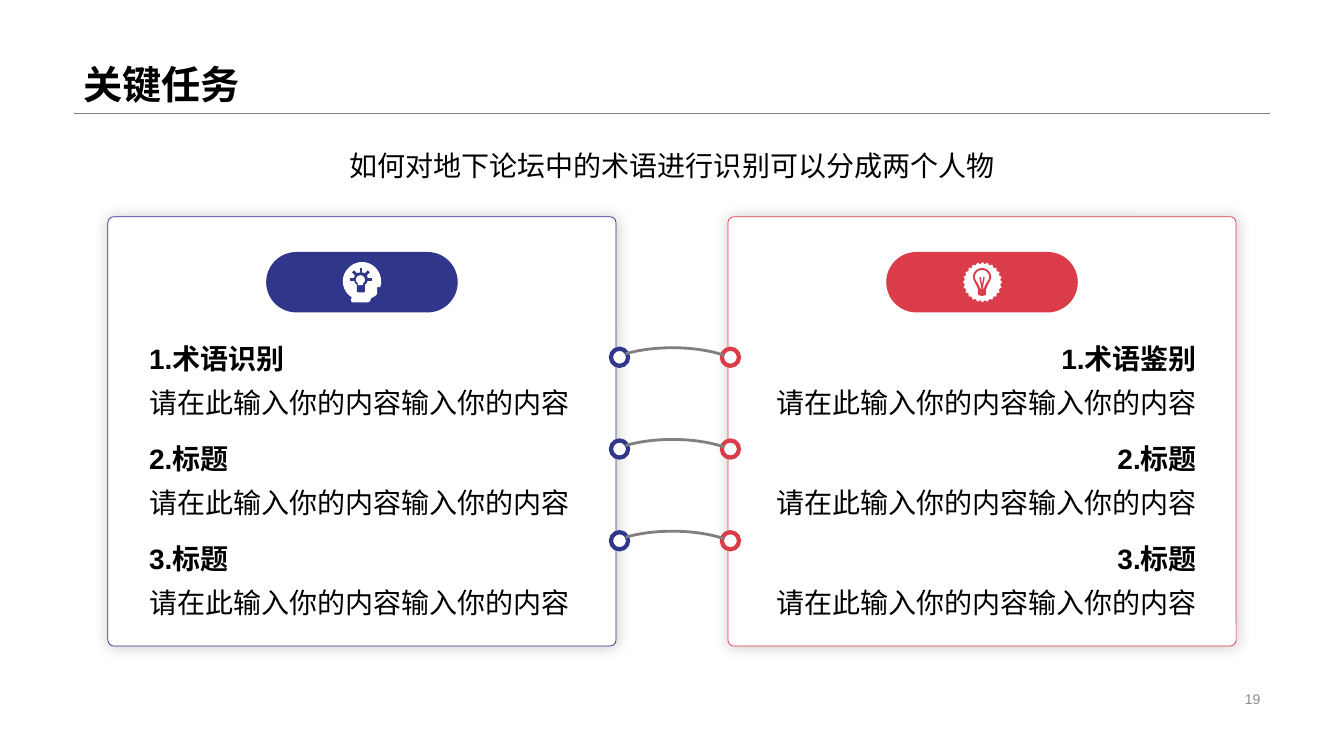
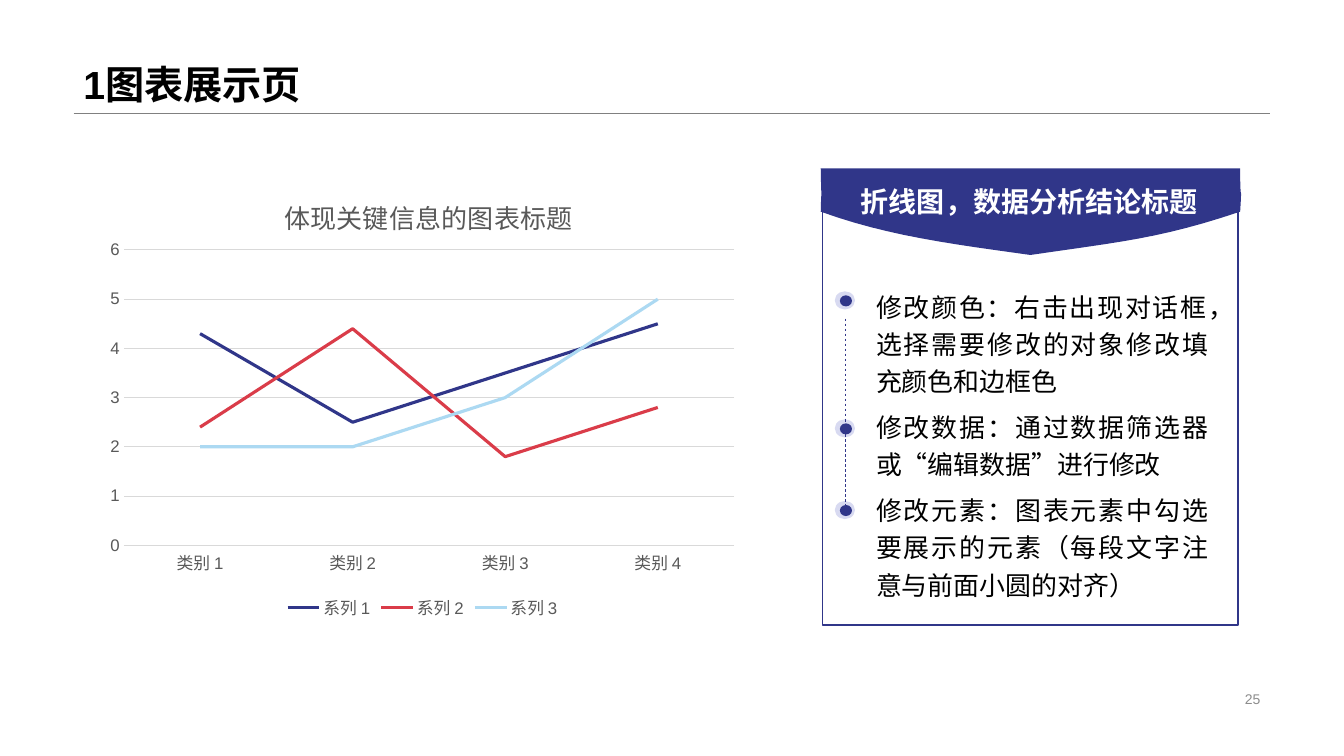
from math import cos, radians, sin

from lxml import etree
from pptx import Presentation
from pptx.chart.data import CategoryChartData
from pptx.dml.color import RGBColor
from pptx.enum.chart import XL_CHART_TYPE, XL_LEGEND_POSITION, XL_TICK_MARK
from pptx.enum.dml import MSO_LINE
from pptx.enum.shapes import MSO_CONNECTOR, MSO_SHAPE
from pptx.enum.text import MSO_ANCHOR, PP_ALIGN
from pptx.oxml.ns import qn
from pptx.util import Inches, Pt

NAVY = RGBColor(0x30, 0x36, 0x89)
RED = RGBColor(0xDA, 0x3C, 0x49)
SKY = RGBColor(0xAC, 0xD9, 0xF2)
LILAC = RGBColor(0x9F, 0xA3, 0xDD)
WHITE = RGBColor(0xFF, 0xFF, 0xFF)
BLACK = RGBColor(0, 0, 0)
GRAY = RGBColor(0x80, 0x80, 0x80)
PAGE_GRAY = RGBColor(0x8C, 0x8C, 0x8C)
CHART_GRAY = RGBColor(0x59, 0x59, 0x59)
GRID_GRAY = RGBColor(0xD9, 0xD9, 0xD9)

LEFT, RIGHT, CENTER = PP_ALIGN.LEFT, PP_ALIGN.RIGHT, PP_ALIGN.CENTER
JUSTIFY = PP_ALIGN.JUSTIFY
TOP, MIDDLE, BOTTOM = MSO_ANCHOR.TOP, MSO_ANCHOR.MIDDLE, MSO_ANCHOR.BOTTOM
ROUND, OVAL, RECT = MSO_SHAPE.ROUNDED_RECTANGLE, MSO_SHAPE.OVAL, MSO_SHAPE.RECTANGLE
ARC, STAR = MSO_SHAPE.ARC, MSO_SHAPE.STAR_24_POINT
STRAIGHT = MSO_CONNECTOR.STRAIGHT
DASH = MSO_LINE.DASH
NO_TICK = XL_TICK_MARK.NONE
FONT = "Arial"


def curve(start, *segments):
    """Return the points of an outline made of lines and cubic curves."""
    points = [start]
    for seg in segments:
        if len(seg) == 2:
            points.append(seg)
            continue
        nodes = [points[-1], seg[:2], seg[2:4], seg[4:]]
        for i in range(1, 13):
            t = i / 12
            weights = ((1 - t) ** 3, 3 * t * (1 - t) ** 2, 3 * t * t * (1 - t), t ** 3)
            points.append(tuple(sum(w * n[k] for w, n in zip(weights, nodes))
                                for k in (0, 1)))
    return points


class Deck:
    """Holds the shared style and the current slide."""

    def __init__(self):
        self.prs = Presentation()
        self.prs.slide_width = Inches(13.33)
        self.prs.slide_height = Inches(7.5)

    def slide(self, title, number):
        self.s = self.prs.slides.add_slide(self.prs.slide_layouts[6])
        self.line(0.73, 1.12, 12.6, 1.12, GRAY, 0.25)
        self.text(0.73, 0, 11.87, 1.12, [title], 28, bold=True, anchor=BOTTOM, spacing=0.9)
        self.text(9.42, 6.82, 3.18, 0.23, [str(number)], 10, PAGE_GRAY, RIGHT, spacing=1)

    def text(self, x, y, w, h, lines, size, color=BLACK, align=LEFT, bold=False,
             anchor=MIDDLE, spacing=1.3, after=0, wrap=True, bold_first=False):
        tf = self.s.shapes.add_textbox(Inches(x), Inches(y), Inches(w), Inches(h)).text_frame
        tf.word_wrap = wrap
        tf.vertical_anchor = anchor
        for i, line in enumerate(lines):
            p = tf.paragraphs[0] if i == 0 else tf.add_paragraph()
            p.text = line
            p.alignment = align
            p.line_spacing = spacing
            p.space_after = Pt(after)
            p.font.name = FONT
            p.font.size = Pt(size)
            p.font.bold = bold or (bold_first and i == 0)
            p.font.color.rgb = color

    def paint(self, sp, fill, line, width):
        sp.shadow.inherit = False
        if fill is None:
            sp.fill.background()
        else:
            sp.fill.solid()
            sp.fill.fore_color.rgb = fill
        if line is None:
            sp.line.fill.background()
        else:
            sp.line.color.rgb = line
            sp.line.width = Pt(width)
        return sp

    def shape(self, kind, x, y, w, h, fill=None, line=None, width=1, adj=()):
        sp = self.s.shapes.add_shape(kind, Inches(x), Inches(y), Inches(w), Inches(h))
        for i, value in enumerate(adj):
            sp.adjustments[i] = value
        return self.paint(sp, fill, line, width)

    def outline(self, points, fill):
        pts = [(Inches(x), Inches(y)) for x, y in points]
        builder = self.s.shapes.build_freeform(*pts[0])
        builder.add_line_segments(pts[1:], close=True)
        self.paint(builder.convert_to_shape(), fill, None, 0)

    def line(self, x1, y1, x2, y2, color, width, dash=None):
        cn = self.s.shapes.add_connector(STRAIGHT, Inches(x1), Inches(y1),
                                         Inches(x2), Inches(y2))
        cn.line.color.rgb = color
        cn.line.width = Pt(width)
        if dash is not None:
            cn.line.dash_style = dash
        etree.SubElement(cn.element.spPr, qn("a:effectLst"))

    def card(self, x, y, w, h, color):
        sp = self.shape(ROUND, x, y, w, h, WHITE, color, 0.5, [0.014])
        effects = sp.element.spPr.find(qn("a:effectLst"))
        glow = etree.SubElement(effects, qn("a:outerShdw"), blurRad=str(Pt(10)),
                                dist="0", algn="ctr", rotWithShape="0")
        rgb = etree.SubElement(glow, qn("a:srgbClr"), val="000000")
        etree.SubElement(rgb, qn("a:alpha"), val="20000")

    def head_icon(self, color):
        self.outline(curve(
            (3.59, 2.6), (3.49, 2.6, 3.4, 2.69, 3.4, 2.79), (3.4, 2.86, 3.44, 2.92, 3.49, 2.95),
            (3.48, 2.97), (3.48, 2.99, 3.49, 3, 3.5, 3), (3.65, 3), (3.67, 2.99), (3.68, 2.96),
            (3.7, 2.95, 3.74, 2.93, 3.74, 2.91), (3.74, 2.85), (3.76, 2.85),
            (3.78, 2.85, 3.78, 2.81, 3.78, 2.79), (3.78, 2.69, 3.7, 2.6, 3.59, 2.6)), WHITE)
        cx, cy = 3.58, 2.77
        for angle in (180, 225, 270, 315, 360):
            dx, dy = cos(radians(angle)), sin(radians(angle))
            self.line(cx + 0.06 * dx, cy + 0.06 * dy, cx + 0.11 * dx, cy + 0.11 * dy, color, 2)
        self.shape(OVAL, cx - 0.07, cy - 0.07, 0.14, 0.14, color)
        self.shape(ROUND, cx - 0.04, cy + 0.05, 0.08, 0.08, color)
        self.shape(OVAL, cx - 0.05, cy - 0.04, 0.09, 0.09, WHITE)
        self.shape(RECT, cx - 0.03, cy + 0.03, 0.05, 0.03, WHITE)

    def gear_icon(self, color):
        self.shape(STAR, 9.55, 2.6, 0.39, 0.4, WHITE, adj=[0.45])
        self.outline(curve(
            (9.74, 2.66), (9.69, 2.66, 9.65, 2.7, 9.65, 2.75), (9.65, 2.78, 9.69, 2.83, 9.7, 2.87),
            (9.7, 2.92), (9.72, 2.94, 9.76, 2.94, 9.78, 2.92), (9.78, 2.87),
            (9.79, 2.83, 9.83, 2.78, 9.83, 2.75), (9.83, 2.7, 9.79, 2.66, 9.74, 2.66)), color)
        self.outline(curve(
            (9.74, 2.68), (9.7, 2.68, 9.67, 2.71, 9.67, 2.75), (9.67, 2.78, 9.71, 2.81, 9.72, 2.86),
            (9.76, 2.86), (9.77, 2.81, 9.81, 2.78, 9.81, 2.75),
            (9.81, 2.71, 9.78, 2.68, 9.74, 2.68)), WHITE)
        for x in (9.72, 9.76):
            self.line(x, 2.75, 9.74, 2.86, color, 1)

    def bullet_dot(self, y):
        halo = self.shape(OVAL, 8.28, y, 0.2, 0.18, LILAC)
        rgb = halo.element.spPr.find(".//" + qn("a:srgbClr"))
        etree.SubElement(rgb, qn("a:alpha"), val="40000")
        self.shape(OVAL, 8.33, y + 0.04, 0.12, 0.11, NAVY)

    def font(self, font, size):
        font.name = FONT
        font.size = Pt(size)
        font.bold = False
        font.color.rgb = CHART_GRAY

    def layout(self, parent, index, **places):
        layout = parent.find(qn("c:layout"))
        if layout is None:
            layout = etree.Element(qn("c:layout"))
            parent.insert(index, layout)
        manual = etree.SubElement(layout, qn("c:manualLayout"))
        if "w" in places:
            etree.SubElement(manual, qn("c:layoutTarget"), val="inner")
        for key in ("x", "y"):
            etree.SubElement(manual, qn(f"c:{key}Mode"), val="edge")
        for key, value in places.items():
            etree.SubElement(manual, qn(f"c:{key}"), val=str(value))

    def line_chart(self, x, y, w, h, title, cats, series):
        data = CategoryChartData()
        data.categories = cats
        for name, values, _ in series:
            data.add_series(name, values)
        chart = self.s.shapes.add_chart(XL_CHART_TYPE.LINE, Inches(x), Inches(y),
                                        Inches(w), Inches(h), data).chart
        self.font(chart.font, 12)
        chart.has_title = True
        p = chart.chart_title.text_frame.paragraphs[0]
        p.text = title
        self.font(p.font, 18.6)
        chart.has_legend = True
        chart.legend.position = XL_LEGEND_POSITION.BOTTOM
        chart.legend.include_in_layout = False
        self.font(chart.legend.font, 12)
        chart.plots[0].vary_by_categories = False
        for ser, (_, _, color) in zip(chart.plots[0].series, series):
            ser.smooth = False
            ser.format.line.color.rgb = color
            ser.format.line.width = Pt(2.25)
        cat, val = chart.category_axis, chart.value_axis
        for axis in (cat, val):
            axis.major_tick_mark = axis.minor_tick_mark = NO_TICK
            self.font(axis.tick_labels.font, 12)
        val.minimum_scale, val.maximum_scale, val.major_unit = 0, 6, 1
        val.format.line.fill.background()
        for ln in (cat.format.line, val.major_gridlines.format.line):
            ln.color.rgb = GRID_GRAY
            ln.width = Pt(0.75)
        self.layout(chart.element.find(".//" + qn("c:title")), 1, x=0.28, y=0.06)
        self.layout(chart.element.find(".//" + qn("c:plotArea")), 0,
                    x=0.04, y=0.19, w=0.94, h=0.64)


def tasks_slide(d):
    d.slide("关键任务", 19)
    d.text(1.07, 1.28, 11.19, 0.61, ["如何对地下论坛中的术语进行识别可以分成两个人物"],
           20, align=CENTER)
    columns = [
        (1.07, NAVY, 1.38, LEFT, 6.06, "术语识别", d.head_icon),
        (7.22, RED, 7.5, RIGHT, 7.16, "术语鉴别", d.gear_icon),
    ]
    for card_x, color, text_x, align, ring_x, first, icon in columns:
        d.card(card_x, 2.15, 5.04, 4.26, color)
        d.shape(ROUND, card_x + 1.57, 2.5, 1.9, 0.6, color, adj=[0.5])
        icon(color)
        for i, heading in enumerate((first, "标题", "标题")):
            d.text(text_x, 3.23 + 0.99 * i, 4.47, 0.99,
                   [f"{i + 1}.{heading}", "请在此输入你的内容输入你的内容"],
                   20, align=align, bold_first=True)
            d.shape(OVAL, ring_x, 3.46 + 0.91 * i, 0.17, 0.17, WHITE, color, 3)
    for i in range(3):
        d.shape(ARC, 5.93, 3.45 + 0.91 * i, 1.48, 0.54, None, GRAY, 2, [122.61, 203.52])


def chart_slide(d):
    d.slide("1图表展示页", 25)
    d.text(8.59, 2.78, 3.49, 3.34, [
        "修改颜色：右击出现对话框，选择需要修改的对象修改填充颜色和边框色",
        "修改数据：通过数据筛选器或“编辑数据”进行修改",
        "修改元素：图表元素中勾选要展示的元素（每段文字注意与前面小圆的对齐）",
    ], 18.5, align=JUSTIFY, anchor=TOP, spacing=1.2, after=6)
    for y in (2.89, 4.16, 4.97):
        d.bullet_dot(y)
    for y1, y2 in ((3.16, 4.16), (4.16, 5.08)):
        d.line(8.38, y1, 8.38, y2, NAVY, 0.5, DASH)
    d.shape(RECT, 8.16, 2.08, 4.12, 4.12, None, NAVY, 1)
    d.line_chart(0.97, 1.61, 6.44, 4.58, "体现关键信息的图表标题",
                 [f"类别 {i}" for i in range(1, 5)], [
                     ("系列 1", (4.3, 2.5, 3.5, 4.5), NAVY),
                     ("系列 2", (2.4, 4.4, 1.8, 2.8), RED),
                     ("系列 3", (2, 2, 3, 5), SKY),
                 ])
    d.outline(curve(
        (12.3, 1.67), (12.3, 2.09, 12.32, 1.76, 12.3, 2.1), (11.5, 2.37, 11.1, 2.4, 10.22, 2.53),
        (9.43, 2.42, 8.8, 2.34, 8.14, 2.1), (8.15, 1.71, 8.15, 2.19, 8.14, 1.67)), NAVY)
    d.text(8.44, 1.68, 3.57, 0.5, ["折线图，数据分析结论标题"], 20, WHITE, JUSTIFY,
           bold=True, anchor=TOP, wrap=False)


def main():
    d = Deck()
    tasks_slide(d)
    chart_slide(d)
    d.prs.save("out.pptx")


if __name__ == "__main__":
    main()
